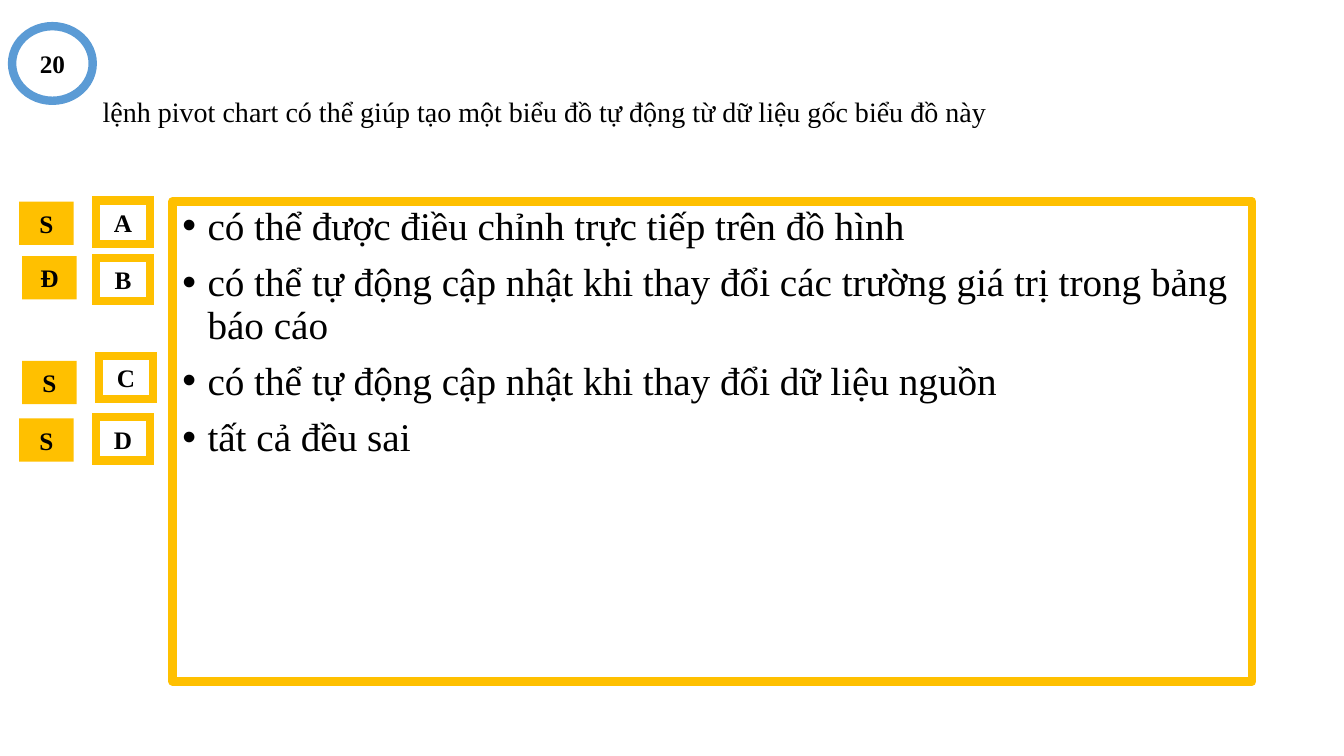
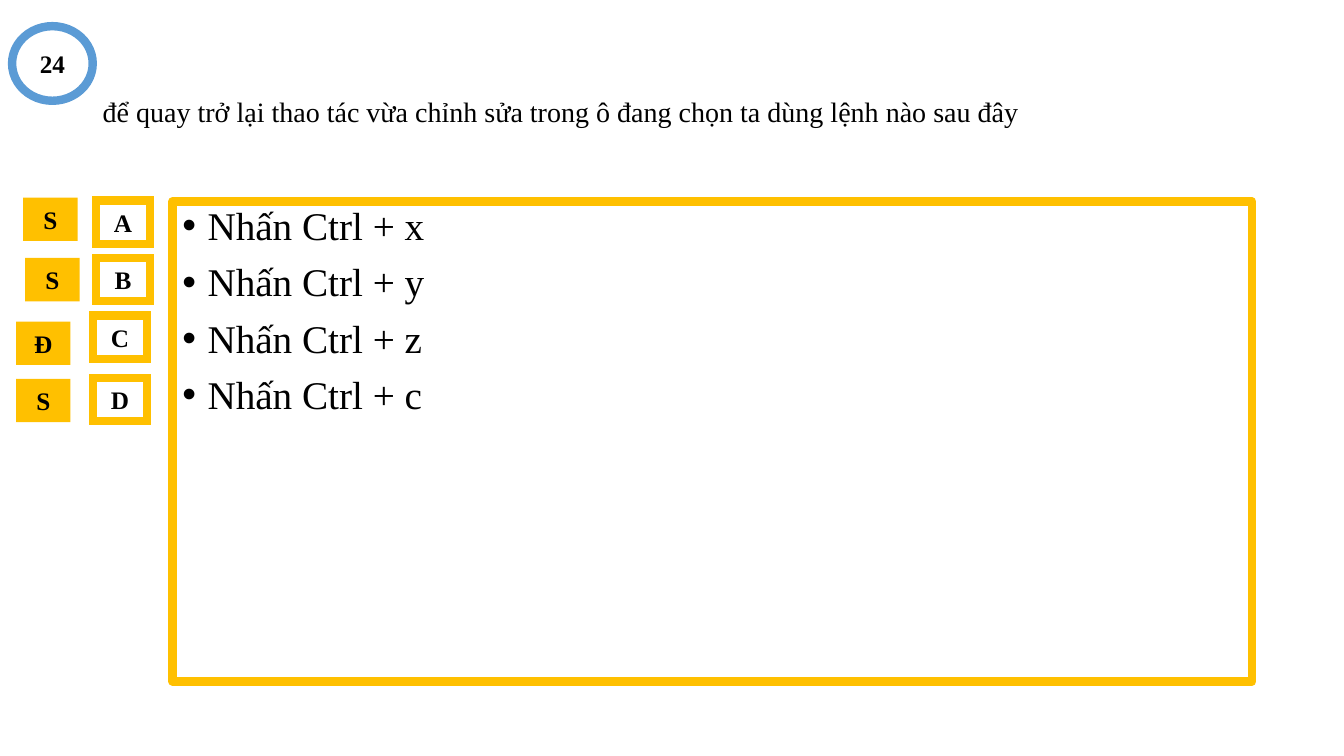
from lxml.etree import SubElement
from pptx import Presentation
from pptx.dml.color import RGBColor
from pptx.enum.shapes import MSO_SHAPE
from pptx.enum.text import MSO_ANCHOR, PP_ALIGN
from pptx.oxml.ns import qn
from pptx.util import Pt

EMU_PER_PX = 9144  # 100 px to the inch
COLORS = {"paper": "FFFFFF", "ink": "000000", "gold": "FFC000", "blue": "5B9BD5"}
FONT = "Times New Roman"
BORDER_PT = 6
TAG_SIZE = (54, 43)
BULLET_INDENT = 25

# Each answer: text, verdict, (left, top) of its letter tag and of its verdict tag
QUESTIONS = [
    ("20", "lệnh pivot chart có thể giúp tạo một biểu đồ tự động từ dữ liệu gốc biểu đồ này", [
        ("có thể được điều chỉnh trực tiếp trên đồ hình", "S", (95, 199), (19, 200)),
        ("có thể tự động cập nhật khi thay đổi các trường giá trị trong bảng báo cáo",
         "Đ", (95, 256), (22, 254)),
        ("có thể tự động cập nhật khi thay đổi dữ liệu nguồn", "S", (98, 353), (22, 358)),
        ("tất cả đều sai", "S", (95, 414), (19, 415)),
    ]),
    ("24", "để quay trở lại thao tác vừa chỉnh sửa trong ô đang chọn ta dùng lệnh nào sau đây", [
        ("Nhấn Ctrl + x", "S", (95, 199), (23, 196)),
        ("Nhấn Ctrl + y", "S", (95, 256), (25, 256)),
        ("Nhấn Ctrl + z", "Đ", (92, 313), (16, 319)),
        ("Nhấn Ctrl + c", "S", (92, 375), (16, 376)),
    ]),
]


def px(length):
    return length * EMU_PER_PX


def color(name):
    return RGBColor.from_string(COLORS[name])


def add_bullet(paragraph):
    properties = paragraph._p.get_or_add_pPr()
    properties.set("marL", str(px(BULLET_INDENT)))
    properties.set("indent", str(-px(BULLET_INDENT)))
    SubElement(properties, qn("a:buFont"), typeface="Arial")
    SubElement(properties, qn("a:buChar"), char="•")


def write_text(shape, lines, size=18, bold=False, align=PP_ALIGN.LEFT,
               anchor=MSO_ANCHOR.MIDDLE, line_spacing=None, space_before=0, bullets=False):
    frame = shape.text_frame
    frame.word_wrap = True
    frame.vertical_anchor = anchor
    for index, line in enumerate(lines):
        paragraph = frame.add_paragraph() if index else frame.paragraphs[0]
        paragraph.alignment = align
        paragraph.line_spacing = line_spacing
        paragraph.space_before = Pt(space_before)
        if bullets:
            add_bullet(paragraph)
        run = paragraph.add_run()
        run.text = line
        run.font.name = FONT
        run.font.size = Pt(size)
        run.font.bold = bold
        run.font.color.rgb = color("ink")


def add_panel(slide, box, fill="paper", border=None, opacity=100,
              preset=MSO_SHAPE.RECTANGLE, sharp=False):
    """Add a filled shape; sharp gives its border mitred corners."""
    panel = slide.shapes.add_shape(preset, *map(px, box))
    panel.shadow.inherit = False
    panel.fill.solid()
    panel.fill.fore_color.rgb = color(fill)
    if opacity < 100:
        fill_color = panel._element.spPr.find(qn("a:solidFill"))[0]
        SubElement(fill_color, qn("a:alpha"), val=str(opacity * 1000))
    if border:
        panel.line.color.rgb = color(border)
        panel.line.width = Pt(BORDER_PT)
        if sharp:
            SubElement(panel.line._get_or_add_ln(), qn("a:miter"), lim="800000")
    else:
        panel.line.fill.background()
    return panel


def add_label(slide, text, box, **style):
    write_text(add_panel(slide, box, **style), [text], bold=True, align=PP_ALIGN.CENTER)


def add_question(slide, number, question, answers):
    title = add_panel(slide, (92, 40, 1150, 145), opacity=79)
    write_text(title, [question], size=20, line_spacing=0.9)

    answer_panel = add_panel(slide, (171, 200, 1071, 476), border="gold", opacity=79)
    write_text(answer_panel, [answer[0] for answer in answers], size=28,
               anchor=MSO_ANCHOR.TOP, line_spacing=0.9, space_before=10, bullets=True)

    add_label(slide, number, (12, 26, 80, 74), border="blue", preset=MSO_SHAPE.OVAL)
    for letter, (_, verdict, letter_at, verdict_at) in zip("ABCD", answers):
        add_label(slide, letter, letter_at + TAG_SIZE, border="gold", opacity=85, sharp=True)
        add_label(slide, verdict, verdict_at + TAG_SIZE, fill="gold")


def main():
    deck = Presentation()
    deck.slide_width, deck.slide_height = px(1333), px(750)
    blank = deck.slide_layouts[6]
    for number, question, answers in QUESTIONS:
        add_question(deck.slides.add_slide(blank), number, question, answers)
    deck.save("out.pptx")


if __name__ == "__main__":
    main()
